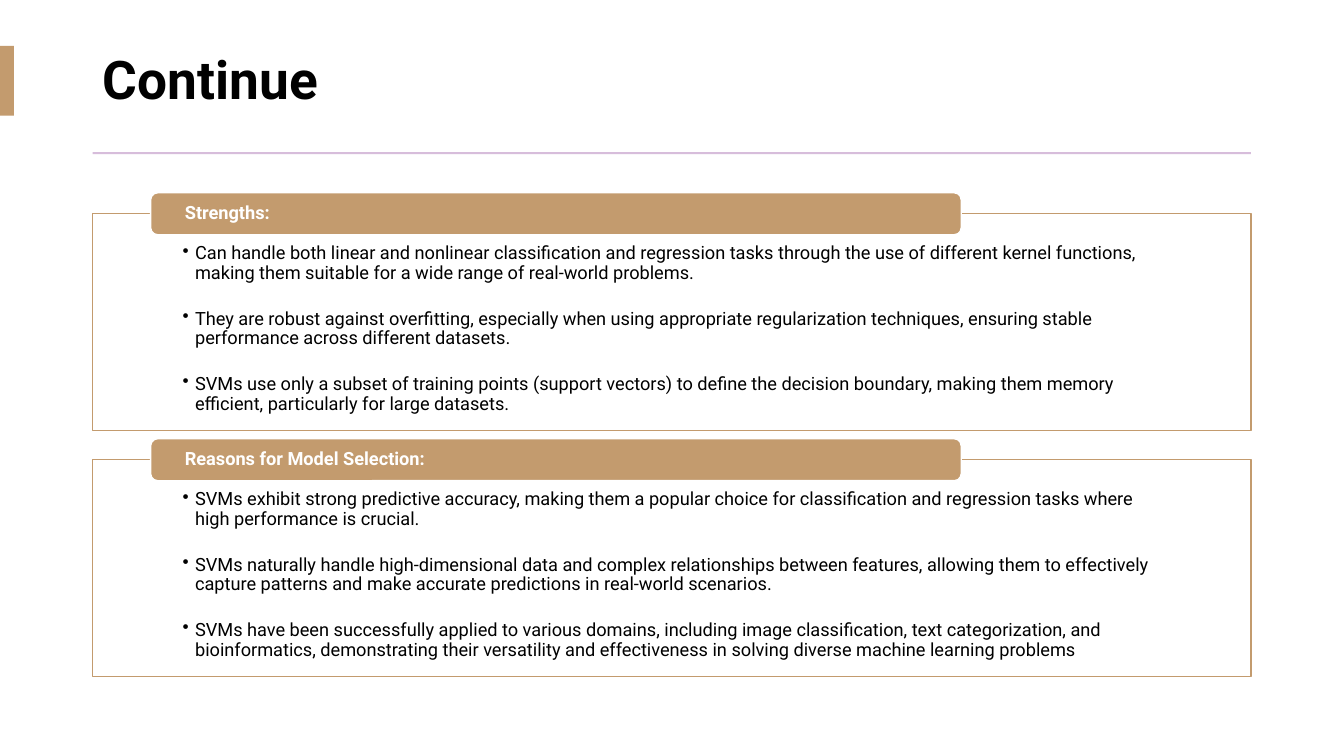
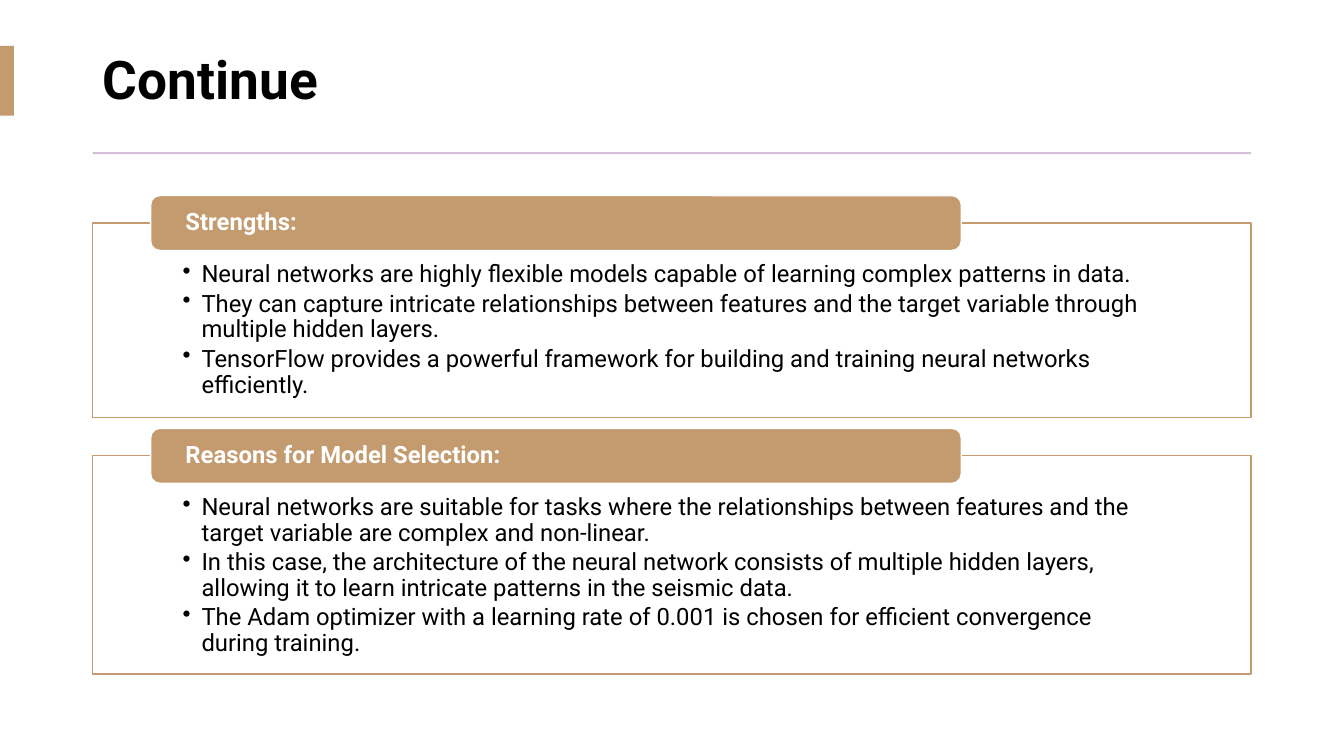
from lxml import etree
from pptx import Presentation
from pptx.dml.color import RGBColor
from pptx.enum import shapes, text
from pptx.oxml import ns
from pptx.util import Pt

FONT = "Roboto"
TAN, LILAC, WHITE, BLACK = "C39B6E", "D7BDDB", "FFFFFF", "000000"
LEFT, WIDTH = 66.24, 827.28
TAB_OFFSET, TAB_WIDTH = 41.4, 579
SIDE_INSET, TAB_INSET = 64.2, 23

SLIDES = [
    {
        "title": "Continue", "size": 13, "top": 152.7, "gap": 20.9,
        "tab_height": 30, "insets": (21.6, 7.2), "indent": 8.9, "space": 18.6,
        "panels": [
            ("Strengths:", 154.8, [
                "Can handle both linear and nonlinear classification and regression tasks through the use of "
                "different kernel functions, making them suitable for a wide range of real-world problems.",
                "They are robust against overfitting, especially when using appropriate regularization "
                "techniques, ensuring stable performance across different datasets.",
                "SVMs use only a subset of training points (support vectors) to define the decision boundary, "
                "making them memory efficient, particularly for large datasets.",
            ]),
            ("Reasons for Model Selection:", 154.8, [
                "SVMs exhibit strong predictive accuracy, making them a popular choice for classification and "
                "regression tasks where high performance is crucial.",
                "SVMs naturally handle high-dimensional data and complex relationships between features, "
                "allowing them to effectively capture patterns and make accurate predictions in real-world "
                "scenarios.",
                "SVMs have been successfully applied to various domains, including image classification, text "
                "categorization, and bioinformatics, demonstrating their versatility and effectiveness in "
                "solving diverse machine learning problems",
            ]),
        ],
    },
    {
        "title": "Continue", "size": 17, "top": 159.3, "gap": 27.4,
        "tab_height": 39.2, "insets": (28, 9.3), "indent": 13.5, "space": 2.7,
        "panels": [
            ("Strengths:", 138.9, [
                "Neural networks are highly flexible models capable of learning complex patterns in data.",
                "They can capture intricate relationships between features and the target variable through "
                "multiple hidden layers.",
                "TensorFlow provides a powerful framework for building and training neural networks "
                "efficiently.",
            ]),
            ("Reasons for Model Selection:", 155.9, [
                "Neural networks are suitable for tasks where the relationships between features and the "
                "target variable are complex and non-linear.",
                "In this case, the architecture of the neural network consists of multiple hidden layers, "
                "allowing it to learn intricate patterns in the seismic data.",
                "The Adam optimizer with a learning rate of 0.001 is chosen for efficient convergence "
                "during training.",
            ]),
        ],
    },
]


def color(value):
    """Turn a hex string into a colour."""
    return RGBColor.from_string(value)


def add_block(slide, kind, box, fill, line=None):
    """Add a filled preset shape in the given box."""
    shape = slide.shapes.add_shape(kind, *map(Pt, box))
    shape.shadow.inherit = False
    shape.fill.solid()
    shape.fill.fore_color.rgb = color(fill)
    if line:
        shape.line.color.rgb = color(line)
        shape.line.width = Pt(1)
    else:
        shape.line.fill.background()
    return shape


def set_frame(shape, anchor, left, top, right, bottom):
    """Set wrapping, anchor and margins of a shape's text."""
    frame = shape.text_frame
    frame.word_wrap = True
    frame.auto_size = text.MSO_AUTO_SIZE.NONE
    frame.vertical_anchor = anchor
    frame.margin_left, frame.margin_top = Pt(left), Pt(top)
    frame.margin_right, frame.margin_bottom = Pt(right), Pt(bottom)
    return frame


def style_paragraph(paragraph, size, hue, bold=False):
    """Apply the deck's left-aligned text style."""
    paragraph.alignment = text.PP_ALIGN.LEFT
    paragraph.line_spacing = 0.9
    font = paragraph.font
    font.name, font.size, font.bold = FONT, Pt(size), bold
    font.color.rgb = color(hue)


def add_bullet(paragraph, indent):
    """Give a paragraph a hanging bullet."""
    properties = paragraph._p.get_or_add_pPr()
    properties.set("marL", str(Pt(indent)))
    properties.set("indent", str(-Pt(indent)))
    etree.SubElement(properties, ns.qn("a:buChar")).set("char", "•")


def add_header(slide, title):
    """Place the title, the side bar and the rule under the title."""
    placeholder = slide.shapes.title
    placeholder.left, placeholder.top = Pt(LEFT), Pt(19.4)
    placeholder.width, placeholder.height = Pt(WIDTH), Pt(79.2)
    frame = set_frame(placeholder, text.MSO_ANCHOR.MIDDLE, 7.2, 3.6, 7.2, 3.6)
    frame.text = title
    style_paragraph(frame.paragraphs[0], 38, BLACK, True)
    rectangle = shapes.MSO_SHAPE.RECTANGLE
    add_block(slide, rectangle, (0, 32.8, 10, 49.8), TAN)
    add_block(slide, rectangle, (LEFT, 108.6, WIDTH, 1.44), LILAC)


def add_panel(slide, box, heading, bullets, style):
    """Place an outlined bullet panel with a heading tab on its top edge."""
    left, top, width, height = box
    panel = add_block(slide, shapes.MSO_SHAPE.RECTANGLE, box, WHITE, TAN)
    inset_top, inset_bottom = style["insets"]
    frame = set_frame(panel, text.MSO_ANCHOR.TOP, SIDE_INSET, inset_top, SIDE_INSET, inset_bottom)
    for index, bullet in enumerate(bullets):
        paragraph = frame.add_paragraph() if index else frame.paragraphs[0]
        paragraph.text = bullet
        add_bullet(paragraph, style["indent"])
        style_paragraph(paragraph, style["size"], BLACK)
        if index:
            paragraph.space_before = Pt(style["space"])

    tab_height = style["tab_height"]
    tab_box = (left + TAB_OFFSET, top - tab_height / 2, TAB_WIDTH, tab_height)
    tab = add_block(slide, shapes.MSO_SHAPE.ROUNDED_RECTANGLE, tab_box, TAN, WHITE)
    frame = set_frame(tab, text.MSO_ANCHOR.MIDDLE, TAB_INSET, 0, TAB_INSET, 0)
    frame.text = heading
    style_paragraph(frame.paragraphs[0], style["size"], WHITE, True)


def add_panel_slide(presentation, content):
    """Add a titled slide with its panels stacked at an equal gap."""
    slide = presentation.slides.add_slide(presentation.slide_layouts[5])
    add_header(slide, content["title"])
    top = content["top"]
    for heading, height, bullets in content["panels"]:
        add_panel(slide, (LEFT, top, WIDTH, height), heading, bullets, content)
        top += height + content["gap"]


def main():
    """Build and save the presentation."""
    presentation = Presentation()
    presentation.slide_width, presentation.slide_height = Pt(960), Pt(540)
    for content in SLIDES:
        add_panel_slide(presentation, content)
    presentation.save("out.pptx")


if __name__ == "__main__":
    main()
